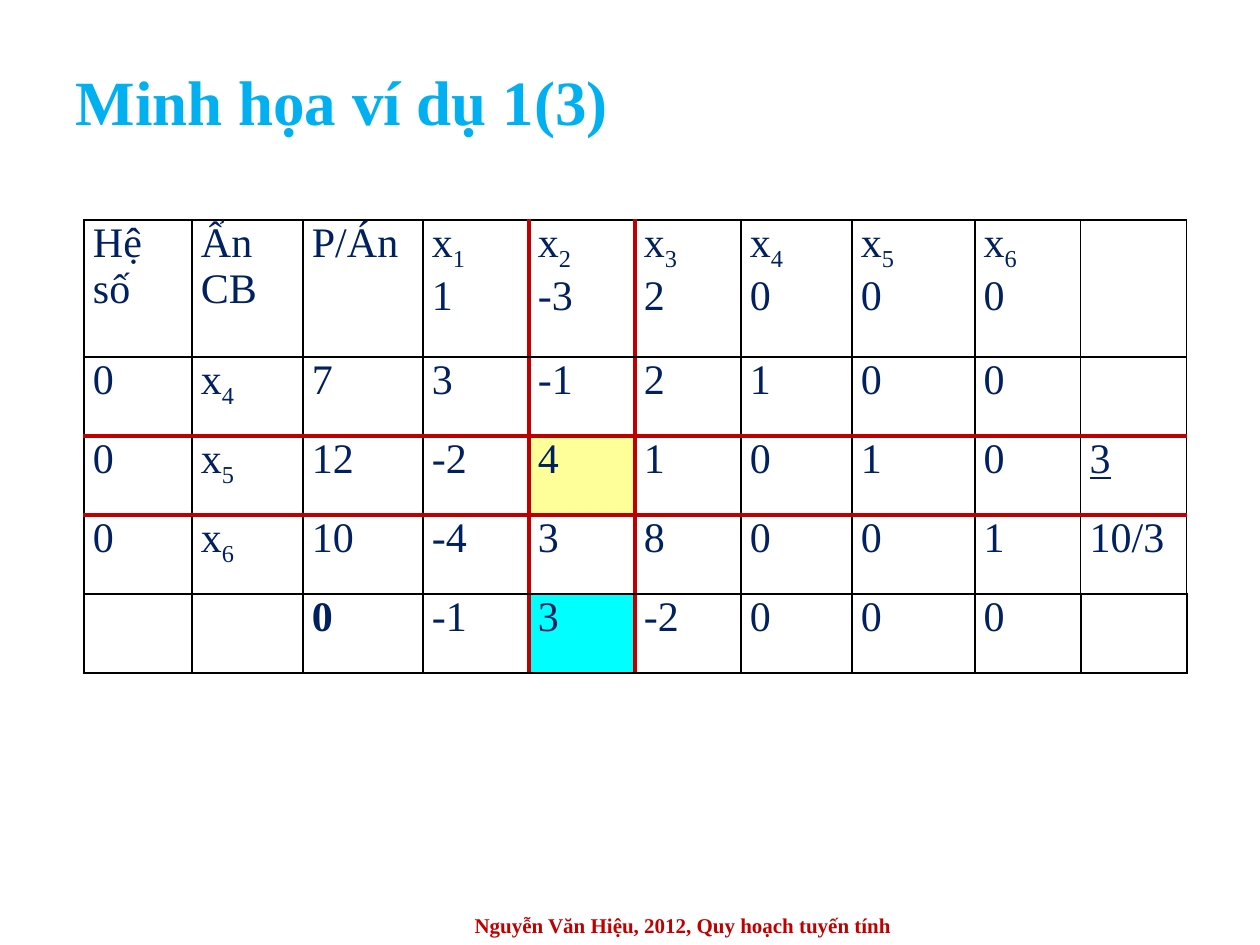
from lxml import etree
from pptx import Presentation
from pptx.dml.color import RGBColor
from pptx.enum.text import MSO_ANCHOR, PP_ALIGN
from pptx.oxml.ns import qn
from pptx.util import Emu, Pt

LEFT, CENTER, JUSTIFY = PP_ALIGN.LEFT, PP_ALIGN.CENTER, PP_ALIGN.JUSTIFY
MIDDLE = MSO_ANCHOR.MIDDLE
TITLE_ONLY = 5

FONT = "Times New Roman"
SKY = RGBColor(0x00, 0xB0, 0xF0)
RED = RGBColor(0xC0, 0x00, 0x00)
NAVY = RGBColor(0x00, 0x20, 0x60)
BLACK = RGBColor(0x00, 0x00, 0x00)
YELLOW = RGBColor(0xFF, 0xFF, 0x99)
CYAN = RGBColor(0x00, 0xFF, 0xFF)

TITLE = "Minh họa ví dụ 1(3)"
FOOTER = "Nguyễn Văn Hiệu, 2012, Quy hoạch tuyến tính"

# "_" starts a subscript, "\n" a new paragraph
TABLEAU = [
    ["Hệ số", "Ẩn CB", "P/Án", "x_1\n1", "x_2\n-3", "x_3\n2", "x_4\n0", "x_5\n0", "x_6\n0", ""],
    ["0", "x_4", "7", "3", "-1", "2", "1", "0", "0", ""],
    ["0", "x_5", "12", "-2", "4", "1", "0", "1", "0", "3"],
    ["0", "x_6", "10", "-4", "3", "8", "0", "0", "1", "10/3"],
    ["", "", "0", "-1", "3", "-2", "0", "0", "0", ""],
]
COLUMN_WIDTHS = [108, 111, 120, 106, 106, 106, 111, 123, 106, 106]
ROW_HEIGHTS = [137, 79, 79, 79, 79]
TABLE_LEFT, TABLE_TOP = 84, 220

PIVOT_ROW, PIVOT_COLUMN = 2, 4
LAST_ROW = len(TABLEAU) - 1
CELL_FILLS = {(PIVOT_ROW, PIVOT_COLUMN): YELLOW, (LAST_ROW, PIVOT_COLUMN): CYAN}
UNDERLINED_RATIO = (PIVOT_ROW, 9)
BOLD_OBJECTIVE = (LAST_ROW, 2)

THIN, MEDIUM, THICK = (BLACK, 1), (BLACK, 1.5), (RED, 2.25)


def px(length):
    return Emu(round(length * 914400 / 126))


def set_font(font, size, color, bold=False):
    font.name, font.size, font.bold = FONT, Pt(size), bold
    font.color.rgb = color


def horizontal_line(index):
    if index in (PIVOT_ROW, PIVOT_ROW + 1):
        return THICK
    return MEDIUM if index >= LAST_ROW else THIN


def vertical_line(index, row):
    if index in (PIVOT_COLUMN, PIVOT_COLUMN + 1):
        return THICK
    return MEDIUM if row == LAST_ROW else THIN


def set_borders(cell, row, column):
    borders = {
        "a:lnL": vertical_line(column, row),
        "a:lnR": vertical_line(column + 1, row),
        "a:lnT": horizontal_line(row),
        "a:lnB": horizontal_line(row + 1),
    }
    properties = cell._tc.get_or_add_tcPr()
    for tag, (color, width) in borders.items():
        line = etree.SubElement(properties, qn(tag), w=str(Pt(width)))
        solid = etree.SubElement(line, qn("a:solidFill"))
        etree.SubElement(solid, qn("a:srgbClr"), val=str(color))


def write_cell(cell, content, position):
    cell.margin_left = cell.margin_right = px(9)
    cell.margin_top = cell.margin_bottom = 0
    frame = cell.text_frame
    for number, entry in enumerate(content.split("\n")):
        paragraph = frame.add_paragraph() if number else frame.paragraphs[0]
        paragraph.alignment = JUSTIFY
        set_font(paragraph.font, 24, NAVY, position == BOLD_OBJECTIVE)
        paragraph.font.underline = position == UNDERLINED_RATIO
        base, _, subscript = entry.partition("_")
        if base:
            paragraph.add_run().text = base
        if subscript:
            run = paragraph.add_run()
            run.text = subscript
            run._r.get_or_add_rPr().set("baseline", "-25000")


def add_tableau(slide):
    table = slide.shapes.add_table(
        len(ROW_HEIGHTS), len(COLUMN_WIDTHS), px(TABLE_LEFT), px(TABLE_TOP),
        px(sum(COLUMN_WIDTHS)), px(sum(ROW_HEIGHTS))).table
    table.first_row = table.horz_banding = False
    for column, width in zip(table.columns, COLUMN_WIDTHS):
        column.width = px(width)
    for row, height in zip(table.rows, ROW_HEIGHTS):
        row.height = px(height)
    for r, values in enumerate(TABLEAU):
        for c, content in enumerate(values):
            cell = table.cell(r, c)
            write_cell(cell, content, (r, c))
            set_borders(cell, r, c)
            if (r, c) in CELL_FILLS:
                cell.fill.solid()
                cell.fill.fore_color.rgb = CELL_FILLS[r, c]
            else:
                cell.fill.background()


def write_line(shape, text, alignment, size, color):
    frame = shape.text_frame
    frame.word_wrap = True
    frame.vertical_anchor = MIDDLE
    paragraph = frame.paragraphs[0]
    paragraph.text = text
    paragraph.alignment = alignment
    set_font(paragraph.font, size, color, bold=True)


def main():
    deck = Presentation()
    deck.slide_width, deck.slide_height = px(1260), px(945)
    slide = deck.slides.add_slide(deck.slide_layouts[TITLE_ONLY])

    title = slide.shapes.title
    title.left, title.top, title.width, title.height = map(px, (63, 53, 1134, 94))
    write_line(title, TITLE, LEFT, 36, SKY)

    footer = slide.shapes.add_textbox(*map(px, (368, 904, 630, 42)))
    write_line(footer, FOOTER, CENTER, 12, RED)

    add_tableau(slide)
    deck.save("out.pptx")


if __name__ == "__main__":
    main()
